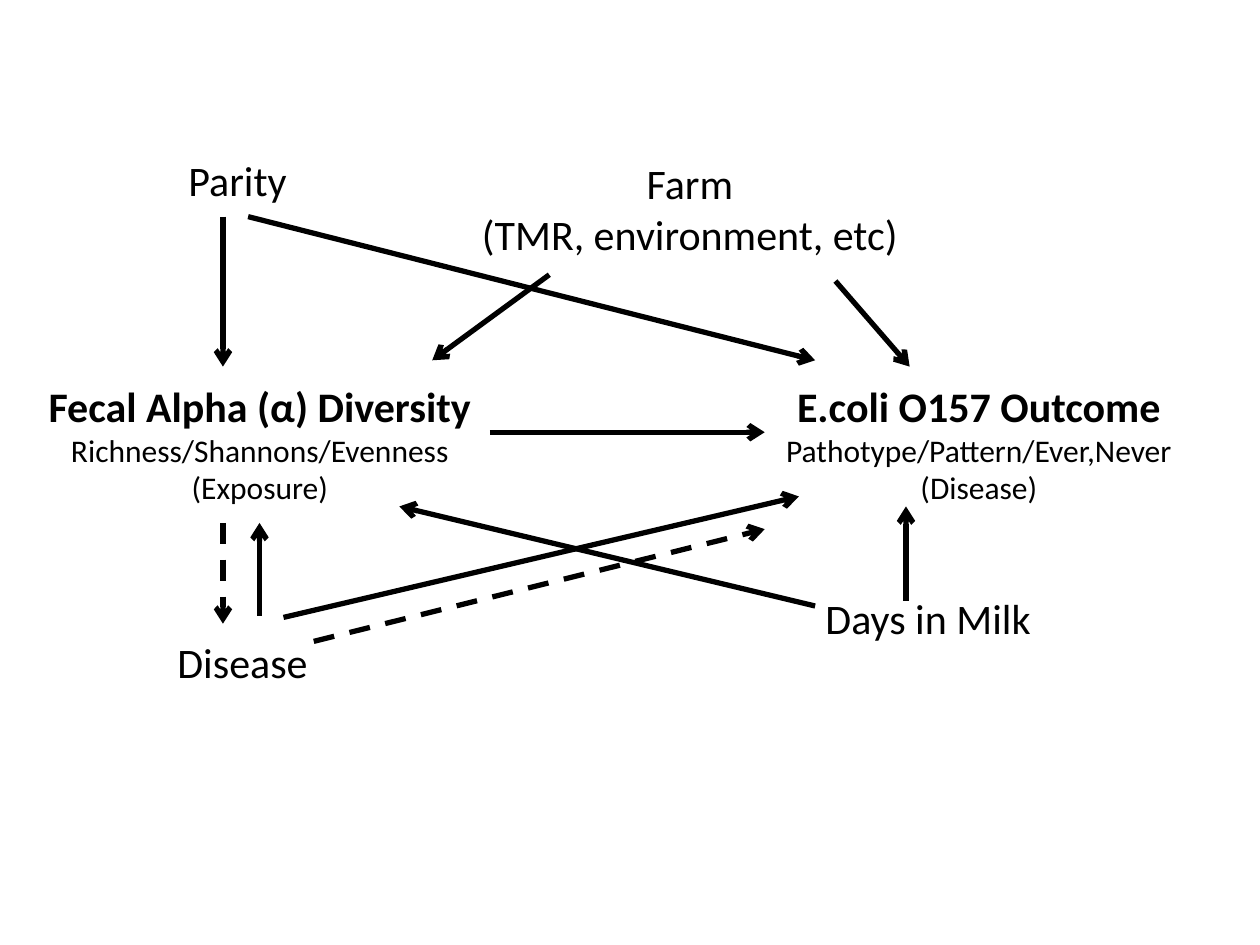
from dataclasses import dataclass

import lxml.etree
import pptx
import pptx.dml.color
import pptx.enum.dml
import pptx.enum.shapes
import pptx.enum.text
import pptx.oxml.ns
import pptx.slide
import pptx.util

Pt = pptx.util.Pt
BLACK = pptx.dml.color.RGBColor(0, 0, 0)
FONT = "Calibri"
LABEL_SIZE = 24
DETAIL_SIZE = 18
LABEL_WIDTH = 271.5
BOX_HEIGHT = 73
SIDE_INSET = 7.2
EDGE_INSET = 3.6
LABEL_LIFT = 29.3  # one label line kept free below a factor's text


@dataclass(frozen=True)
class Line:
    text: str
    size: float = LABEL_SIZE
    bold: bool = False
    breaks_before: bool = False  # line break instead of a new paragraph


@dataclass(frozen=True)
class Variable:
    left: float
    top: float
    lines: tuple[Line, ...]
    width: float = LABEL_WIDTH
    lift: float = LABEL_LIFT


@dataclass(frozen=True)
class Arrow:
    start: tuple[float, float]
    end: tuple[float, float]
    dashed: bool = False


def main_variable(left: float, width: float, name: str, detail: str, role: str) -> Variable:
    lines = (
        Line(name, bold=True),
        Line(detail, DETAIL_SIZE),
        Line(role, DETAIL_SIZE, breaks_before=True),
    )
    return Variable(left, 216.7, lines, width, lift=0)


VARIABLES = (
    main_variable(-15, 327, "Fecal Alpha (α) Diversity", "Richness/Shannons/Evenness", "(Exposure)"),
    main_variable(390.2, 338.4, "E.coli O157 Outcome", "Pathotype/Pattern/Ever,Never", "(Disease)"),
    Variable(0, 80.6, (Line("Parity"),)),
    Variable(258.5, 97.2, (Line("Farm"), Line("(TMR, environment, etc)"))),
    Variable(394.6, 331.2, (Line("Days in Milk"),)),
    Variable(2.9, 356.4, (Line("Disease"),)),
)

ARROWS = (
    # Farm
    Arrow((477.4, 160.6), (519.8, 209.5)),
    Arrow((313.9, 157), (247, 205.9)),
    # Exposure to outcome
    Arrow((280, 247), (437, 247)),
    # Parity
    Arrow((127.4, 123.8), (127.4, 209.5)),
    Arrow((141.8, 123.8), (465.8, 205.9)),
    # Days in milk
    Arrow((465.8, 346.3), (228.2, 289.4)),
    Arrow((517.7, 343.4), (517.7, 289.4)),
    # Disease
    Arrow((148.3, 352), (148.3, 298.8)),
    Arrow((162, 352.8), (456.5, 283.7)),
    Arrow((127.4, 298.8), (127.4, 356.4), dashed=True),
    Arrow((179.3, 366.5), (437, 302.4), dashed=True),
)


def draw_variable(page: pptx.slide.Slide, variable: Variable) -> None:
    box = page.shapes.add_textbox(
        Pt(variable.left), Pt(variable.top), Pt(variable.width), Pt(BOX_HEIGHT)
    )
    frame = box.text_frame
    frame.word_wrap = True
    frame.vertical_anchor = pptx.enum.text.MSO_ANCHOR.MIDDLE
    frame.margin_left = frame.margin_right = Pt(SIDE_INSET)
    frame.margin_top = Pt(EDGE_INSET)
    frame.margin_bottom = Pt(EDGE_INSET + variable.lift)
    para = frame.paragraphs[0]
    for index, line in enumerate(variable.lines):
        if line.breaks_before:
            para.add_line_break()
        elif index:
            para = frame.add_paragraph()
        para.alignment = pptx.enum.text.PP_ALIGN.CENTER
        span = para.add_run()
        span.text = line.text
        span.font.name = FONT
        span.font.size = Pt(line.size)
        span.font.bold = line.bold
        span.font.color.rgb = BLACK


def draw_arrow(page: pptx.slide.Slide, arrow: Arrow) -> None:
    connector = page.shapes.add_connector(
        pptx.enum.shapes.MSO_CONNECTOR.STRAIGHT,
        *(Pt(value) for value in arrow.start + arrow.end),
    )
    connector.line.color.rgb = BLACK
    connector.line.width = Pt(3)
    if arrow.dashed:
        connector.line.dash_style = pptx.enum.dml.MSO_LINE.DASH
    qualified = pptx.oxml.ns.qn
    properties = connector._element.spPr
    outline = properties.find(qualified("a:ln"))
    lxml.etree.SubElement(outline, qualified("a:tailEnd"), type="arrow")
    lxml.etree.SubElement(properties, qualified("a:effectLst"))


def main() -> None:
    deck = pptx.Presentation()
    deck.slide_width, deck.slide_height = Pt(720), Pt(540)
    page = deck.slides.add_slide(deck.slide_layouts.get_by_name("Blank"))
    for variable in VARIABLES:
        draw_variable(page, variable)
    for arrow in ARROWS:
        draw_arrow(page, arrow)
    deck.save("out.pptx")


if __name__ == "__main__":
    main()
